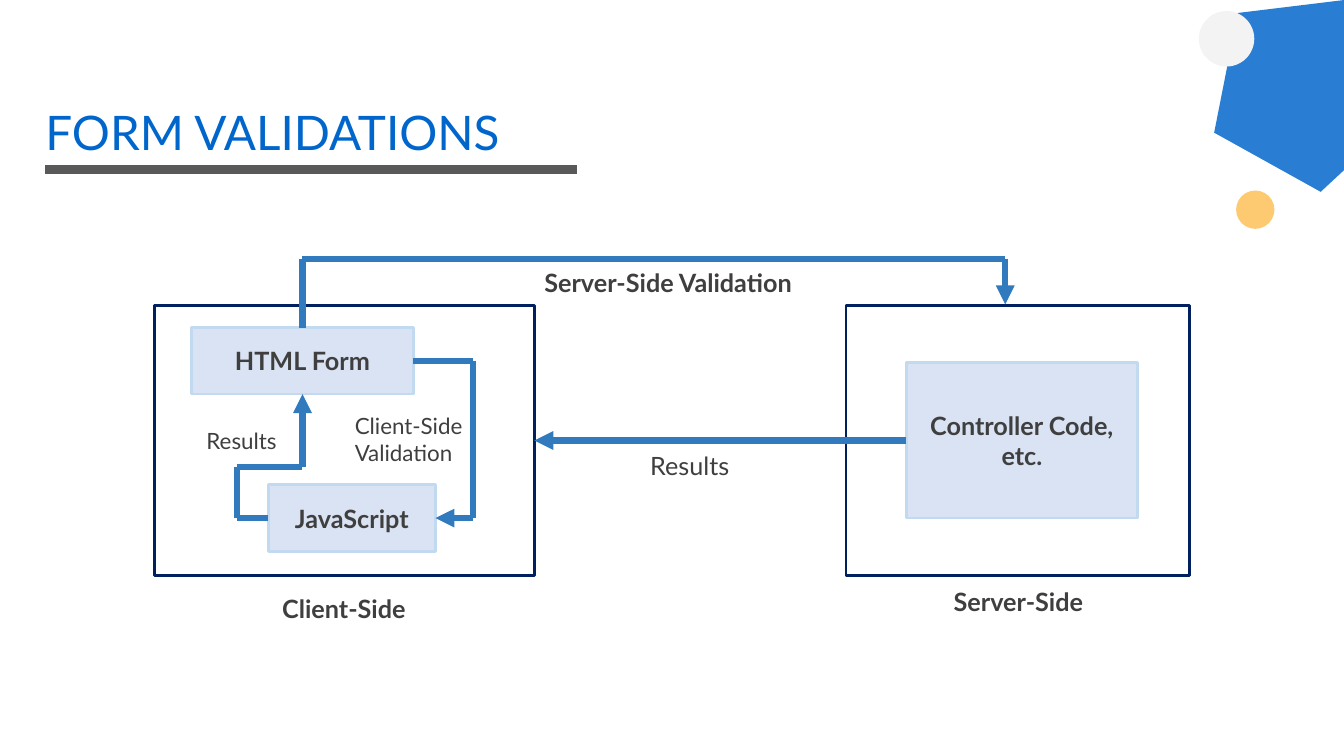
from dataclasses import dataclass

from lxml import etree
from pptx import Presentation
from pptx.dml.color import RGBColor
from pptx.enum.shapes import MSO_CONNECTOR as Connector, MSO_SHAPE as Shape
from pptx.enum.text import MSO_ANCHOR as Anchor, PP_ALIGN as Align
from pptx.oxml.ns import qn
from pptx.util import Inches, Pt


@dataclass(frozen=True)
class Theme:
    font: str = "Lato"
    title: RGBColor = RGBColor(0x00, 0x66, 0xCC)
    text: RGBColor = RGBColor(0x3F, 0x3F, 0x3F)
    rule: RGBColor = RGBColor(0x59, 0x59, 0x59)
    amber: RGBColor = RGBColor(0xFC, 0xA1, 0x06)
    pale: RGBColor = RGBColor(0xF3, 0xF3, 0xF3)
    frame: RGBColor = RGBColor(0x00, 0x20, 0x60)
    box: RGBColor = RGBColor(0xDA, 0xE3, 0xF3)
    border: RGBColor = RGBColor(0xC2, 0xDA, 0xF0)
    arrow: RGBColor = RGBColor(0x31, 0x7A, 0xBD)
    title_size: Pt = Pt(34)
    body_size: Pt = Pt(18)
    small_size: Pt = Pt(16)


theme = Theme()
presentation = Presentation()
presentation.slide_width = Inches(13.33)
presentation.slide_height = Inches(7.5)
slide = presentation.slides.add_slide(presentation.slide_layouts[6])


def add_line(start, end, color, width, arrow=False):
    line = slide.shapes.add_connector(
        Connector.STRAIGHT, *[Inches(value) for value in (*start, *end)]
    )
    line.line.color.rgb = color
    line.line.width = Pt(width)
    properties = line._element.spPr
    if arrow:
        etree.SubElement(properties.find(qn("a:ln")), qn("a:tailEnd"), type="triangle")
    etree.SubElement(properties, qn("a:effectLst"))
    return line


def write(shape, text, size, color, bold=False):
    paragraph = shape.text_frame.paragraphs[0]
    paragraph.text = text
    paragraph.font.name = theme.font
    paragraph.font.size = size
    paragraph.font.bold = bold
    paragraph.font.color.rgb = color
    return paragraph


add_line((0.45, 1.68), (5.72, 1.68), theme.rule, 6)

decorations = [
    (Shape.REGULAR_PENTAGON, (11.93, -0.12, 1.96, 1.86), 317.1, theme.title, 84),
    (Shape.OVAL, (12.26, 1.89, 0.38, 0.38), 0, theme.amber, 57),
    (Shape.OVAL, (11.89, 0.11, 0.55, 0.55), 0, theme.pale, 100),
]
for kind, place, rotation, color, opacity in decorations:
    decoration = slide.shapes.add_shape(kind, *map(Inches, place))
    decoration.shadow.inherit = False
    decoration.rotation = rotation
    decoration.fill.solid()
    decoration.fill.fore_color.rgb = color
    decoration.line.fill.background()
    if opacity < 100:
        fill_color = decoration._element.spPr.find(qn("a:solidFill"))[0]
        etree.SubElement(fill_color, qn("a:alpha"), val=str(opacity * 1000))

title = slide.shapes.add_textbox(*map(Inches, (0.45, 1.01, 12.42, 0.79)))
frame = title.text_frame
frame.word_wrap = True
frame.margin_left = frame.margin_right = frame.margin_bottom = 0
frame.margin_top = Inches(0.01)
write(title, "FORM VALIDATIONS", theme.title_size, theme.title)

boxes = {}
for name, place, text in [
    ("client", (1.53, 3.03, 3.77, 2.68), None),
    ("form", (1.9, 3.25, 2.2, 0.66), "HTML Form"),
    ("script", (2.66, 4.81, 1.66, 0.66), "JavaScript"),
    ("server", (8.39, 3.03, 3.41, 2.68), None),
    ("controller", (8.99, 3.6, 2.29, 1.54), "Controller Code, etc."),
]:
    box = slide.shapes.add_shape(Shape.RECTANGLE, *map(Inches, place))
    box.shadow.inherit = False
    box.line.width = Pt(2)
    if text:
        box.fill.solid()
        box.fill.fore_color.rgb = theme.box
        box.line.color.rgb = theme.border
        box.text_frame.word_wrap = True
        box.text_frame.vertical_anchor = Anchor.MIDDLE
        write(box, text, theme.body_size, theme.text, True).alignment = Align.CENTER
    else:
        box.fill.background()
        box.line.color.rgb = theme.frame
    boxes[name] = box

routes = [
    ([(8.99, 4.37), (5.3, 4.37)], ("controller", 1), ("client", 3)),
    ([(3, 3.25), (3, 2.57), (9.97, 2.57), (9.97, 3.02)], ("form", 0), None),
    ([(2.66, 5.14), (2.35, 5.14), (2.35, 4.63), (3, 4.63), (3, 3.91)],
     ("script", 1), ("form", 2)),
    ([(4.1, 3.58), (4.69, 3.58), (4.69, 5.14), (4.32, 5.14)],
     ("form", 3), ("script", 3)),
]
for points, source, target in routes:
    last = len(points) - 2
    for index, (start, end) in enumerate(zip(points, points[1:])):
        segment = add_line(start, end, theme.arrow, 4.5, index == last)
        if index == 0:
            segment.begin_connect(boxes[source[0]], source[1])
        if index == last and target:
            segment.end_connect(boxes[target[0]], target[1])

labels = [
    ("Results", (6.35, 4.42, 1.04, 0.43), theme.body_size, False, False),
    ("Client-Side", (2.7, 5.84, 1.48, 0.43), theme.body_size, True, False),
    ("Server-Side", (9.36, 5.77, 1.55, 0.43), theme.body_size, True, False),
    ("Server-Side Validation", (5.3, 2.6, 2.78, 0.43), theme.body_size, True, False),
    ("Results", (1.95, 4.19, 0.93, 0.39), theme.small_size, False, False),
    ("Client-Side Validation", (3.42, 4.04, 1.48, 0.68), theme.small_size, False, True),
]
for text, place, size, bold, wrap in labels:
    label = slide.shapes.add_textbox(*map(Inches, place))
    label.text_frame.word_wrap = wrap
    write(label, text, size, theme.text, bold)

presentation.save("out.pptx")
